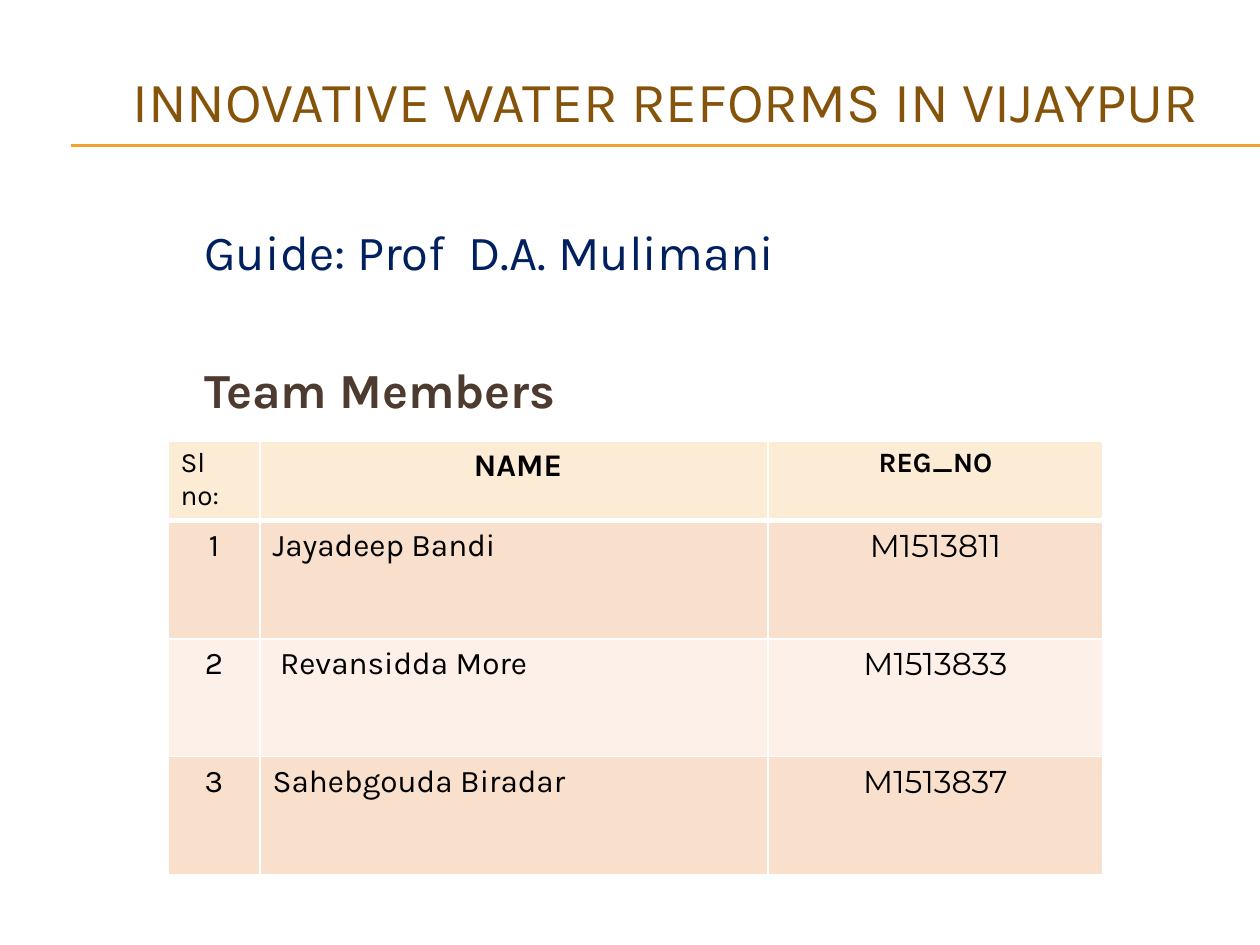
from lxml.etree import SubElement
from pptx import Presentation
from pptx.dml.color import RGBColor
from pptx.enum.shapes import MSO_CONNECTOR as CONN
from pptx.enum.text import MSO_ANCHOR as ANCHOR, PP_ALIGN as ALIGN
from pptx.oxml.ns import qn
from pptx.util import Emu, Pt

PX = 914400 // 126
SLIDE = (1260, 945)
COLORS = {"title": "85540A", "guide": "002060", "team": "4E3B30", "rule": "F0A22E",
          "head": "FCECD5", "odd": "F9E0CD", "even": "FCF0E8",
          "text": "000000", "border": "FFFFFF"}
BODY, REG = "Karla", "Montserrat"

# text, size, bold, colour, space before (points)
TITLE = [("INNOVATIVE WATER REFORMS IN VIJAYPUR", 32.4, False, "title", 0)]
INTRO = [("Guide: Prof  D.A. Mulimani", 28, False, "guide", 0),
         ("Team Members", 28, True, "team", 45.6)]
RULES = (145, 146)

# text, size, bold
HEADER = [("Sl no:", 16, False), (" NAME", 18, True), ("REG_NO", 16, True)]
MEMBERS = [("1", "Jayadeep Bandi", "M1513811"),
           ("2", " Revansidda More", "M1513833"),
           ("3", "Sahebgouda Biradar", "M1513837")]
TABLE_AT = (168, 441)
COLS = (92, 508, 335)
HEAD_H, ROW_H = 78, 118


def px(n):
    """Turn picture pixels into EMU."""
    return Emu(n * PX)


def rgb(name):
    """Look up a named colour."""
    return RGBColor.from_string(COLORS[name])


def style(p, size, bold, color, font=BODY):
    """Format every run of a paragraph."""
    for r in p.runs:
        r.font.size, r.font.bold, r.font.name = Pt(size), bold, font
        r.font.color.rgb = rgb(color)


def add_text(slide, box, lines, anchor):
    """Add a text box with one paragraph per line."""
    tf = slide.shapes.add_textbox(*map(px, box)).text_frame
    tf.word_wrap = True
    tf.vertical_anchor = anchor
    for i, (text, size, bold, color, before) in enumerate(lines):
        p = tf.add_paragraph() if i else tf.paragraphs[0]
        p.text = text
        p.space_before = Pt(before)
        style(p, size, bold, color)


def add_rule(slide, y):
    """Add a horizontal line running to the right edge."""
    line = slide.shapes.add_connector(CONN.STRAIGHT, px(71), px(y), px(SLIDE[0]), px(y))
    line.line.color.rgb = rgb("rule")
    line.line.width = Pt(0.75)
    SubElement(line._element.spPr, qn("a:effectLst"))


def set_borders(cell, top, bottom):
    """Draw the four cell borders, widths in points."""
    tcPr = cell._tc.get_or_add_tcPr()
    for side, width in (("L", 1), ("R", 1), ("T", top), ("B", bottom)):
        ln = SubElement(tcPr, qn(f"a:ln{side}"), w=str(Pt(width)))
        fill = SubElement(ln, qn("a:solidFill"))
        SubElement(fill, qn("a:srgbClr"), val=COLORS["border"])


def add_members(slide):
    """Add the table of team members."""
    rows = [HEADER] + [[(text, 18, False) for text in row] for row in MEMBERS]
    heights = [HEAD_H] + [ROW_H] * len(MEMBERS)
    table = slide.shapes.add_table(len(rows), len(COLS), *map(
        px, (*TABLE_AT, sum(COLS), sum(heights)))).table
    for col, width in zip(table.columns, COLS):
        col.width = px(width)
    for i, (row, height) in enumerate(zip(rows, heights)):
        table.rows[i].height = px(height)
        fill = "head" if i == 0 else "odd" if i % 2 else "even"
        for j, (text, size, bold) in enumerate(row):
            cell = table.cell(i, j)
            set_borders(cell, 3 if i == 1 else 1, 3 if i == 0 else 1)
            cell.fill.solid()
            cell.fill.fore_color.rgb = rgb(fill)
            p = cell.text_frame.paragraphs[0]
            p.text = text
            left = (i, j) == (0, 0) or (i > 0 and j == 1)
            p.alignment = ALIGN.LEFT if left else ALIGN.CENTER
            style(p, size, bold, "text", REG if i and j == 2 else BODY)


prs = Presentation()
prs.slide_width, prs.slide_height = map(px, SLIDE)
slide = prs.slides.add_slide(prs.slide_layouts[6])
for y in RULES:
    add_rule(slide, y)
add_text(slide, (120, 42, 1100, 116), TITLE, ANCHOR.MIDDLE)
add_text(slide, (192, 215, 1000, 210), INTRO, ANCHOR.TOP)
add_members(slide)
prs.save("out.pptx")
